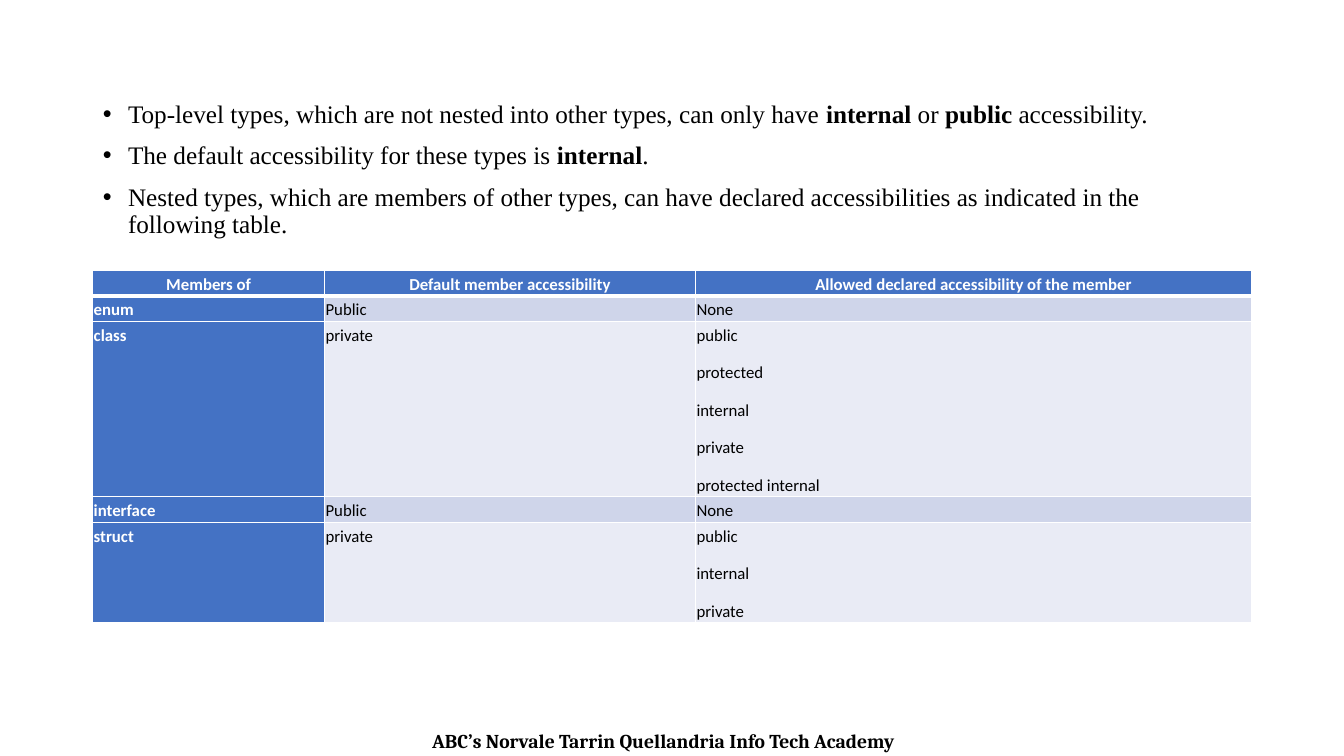
from dataclasses import dataclass

from lxml.etree import SubElement
from pptx import Presentation
from pptx.dml.color import RGBColor
from pptx.enum.text import MSO_ANCHOR, MSO_AUTO_SIZE, PP_ALIGN
from pptx.oxml import parse_xml
from pptx.oxml.ns import nsdecls, qn
from pptx.slide import Slide
from pptx.table import _Cell
from pptx.text.text import TextFrame
from pptx.util import Pt


@dataclass(frozen=True)
class Theme:
    ink: str = "000000"
    paper: str = "FFFFFF"
    accent: str = "4472C4"
    band_dark: str = "CFD5EA"
    band_light: str = "E9EBF5"
    list_font: str = "Times New Roman"
    table_font: str = "Calibri"
    footer_font: str = "Cambria"
    list_size: float = 18
    table_size: float = 12
    footer_size: float = 14


@dataclass(frozen=True)
class MemberRule:
    member_of: str
    default: str
    allowed: tuple[str, ...]


THEME = Theme()
STATEMENTS = (
    "Top-level types, which are not nested into other types, can only have "
    "**internal** or **public** accessibility.",
    "The default accessibility for these types is **internal**.",
    "Nested types, which are members of other types, can have declared "
    "accessibilities as indicated in the following table.",
)
HEADINGS = (
    "Members of",
    "Default member accessibility",
    "Allowed declared accessibility of the member",
)
RULES = (
    MemberRule("enum", "Public", ("None",)),
    MemberRule("class", "private",
               ("public", "protected", "internal", "private", "protected internal")),
    MemberRule("interface", "Public", ("None",)),
    MemberRule("struct", "private", ("public", "internal", "private")),
)
LEFT, WIDTH = 66.24, 828
COLUMN_SHARES = (0.2, 0.32, 0.48)
LINE_HEIGHT, LINE_PITCH = 18.2, 26.8


def write(frame: TextFrame, lines: tuple[str, ...], *, font: str, size: float,
          color: str = THEME.ink, bold: bool = False,
          align: PP_ALIGN = PP_ALIGN.LEFT, spacing: float = 1,
          before: float = 0, after: float = 0, bullet: str = "") -> None:
    frame.word_wrap = True
    for index, line in enumerate(lines):
        paragraph = frame.paragraphs[0] if index == 0 else frame.add_paragraph()
        paragraph.alignment = align
        paragraph.line_spacing = spacing
        paragraph.space_before = Pt(before if index else 0)
        paragraph.space_after = Pt(after)
        if bullet:
            properties = paragraph._p.get_or_add_pPr()
            properties.set("marL", str(Pt(18)))
            properties.set("indent", str(-Pt(18)))
            SubElement(properties, qn("a:buFont")).set("typeface", "Arial")
            SubElement(properties, qn("a:buChar")).set("char", bullet)
        for part, words in enumerate(line.split("**")):
            run = paragraph.add_run()
            run.text = words
            run.font.name = font
            run.font.size = Pt(size)
            run.font.bold = bold or part % 2 == 1
            run.font.color.rgb = RGBColor.from_string(color)


def style_cell(cell: _Cell, fill: str, top: float, bottom: float) -> None:
    cell.fill.solid()
    cell.fill.fore_color.rgb = RGBColor.from_string(fill)
    cell.vertical_anchor = MSO_ANCHOR.TOP
    cell.margin_left = cell.margin_right = Pt(0.72)
    cell.margin_top = cell.margin_bottom = Pt(0.72)
    borders = (("lnL", 1), ("lnR", 1), ("lnT", top), ("lnB", bottom))
    for position, (side, weight) in enumerate(borders):
        cell._tc.get_or_add_tcPr().insert(position, parse_xml(
            f'<a:{side} {nsdecls("a")} w="{Pt(weight)}"><a:solidFill>'
            f'<a:srgbClr val="{THEME.paper}"/></a:solidFill></a:{side}>'))


def add_statements(slide: Slide) -> None:
    body = slide.placeholders[1]
    body.left, body.top = Pt(LEFT), Pt(69.12)
    body.width, body.height = Pt(WIDTH), Pt(342.72)
    body.text_frame.auto_size = MSO_AUTO_SIZE.NONE
    write(body.text_frame, STATEMENTS, font=THEME.list_font,
          size=THEME.list_size, spacing=0.9, before=10, bullet="•")


def add_accessibility_table(slide: Slide) -> None:
    rows = [tuple((heading,) for heading in HEADINGS)]
    rows += [((rule.member_of,), (rule.default,), rule.allowed) for rule in RULES]
    heights = [LINE_HEIGHT + LINE_PITCH * (len(row[-1]) - 1) for row in rows]
    table = slide.shapes.add_table(
        len(rows), len(HEADINGS), Pt(LEFT), Pt(193), Pt(WIDTH), Pt(sum(heights))).table
    table.first_row = table.horz_banding = False
    for column, share in zip(table.columns, COLUMN_SHARES):
        column.width = Pt(WIDTH * share)
    for r, (row, height) in enumerate(zip(rows, heights)):
        table.rows[r].height = Pt(height)
        band = THEME.band_dark if r % 2 else THEME.band_light
        for c, lines in enumerate(row):
            heading = r == 0 or c == 0
            cell = table.cell(r, c)
            style_cell(cell, THEME.accent if heading else band,
                       top=3 if r == 1 else 1, bottom=3 if r == 0 else 1)
            write(cell.text_frame, lines, font=THEME.table_font,
                  size=THEME.table_size, bold=heading,
                  color=THEME.paper if heading else THEME.ink,
                  align=PP_ALIGN.LEFT if r else PP_ALIGN.CENTER,
                  spacing=1.15, after=10)


def add_footer(slide: Slide) -> None:
    academy = slide.shapes.add_textbox(Pt(-6), Pt(517), Pt(960), Pt(24.5))
    write(academy.text_frame, ("ABC’s Norvale Tarrin Quellandria Info Tech Academy",),
          font=THEME.footer_font, size=THEME.footer_size, bold=True,
          align=PP_ALIGN.CENTER)


def main() -> None:
    deck = Presentation()
    deck.slide_width, deck.slide_height = Pt(960), Pt(540)
    slide = deck.slides.add_slide(deck.slide_layouts[1])
    heading = slide.shapes.title._element
    heading.getparent().remove(heading)
    add_footer(slide)
    add_statements(slide)
    add_accessibility_table(slide)
    deck.save("out.pptx")


if __name__ == "__main__":
    main()
